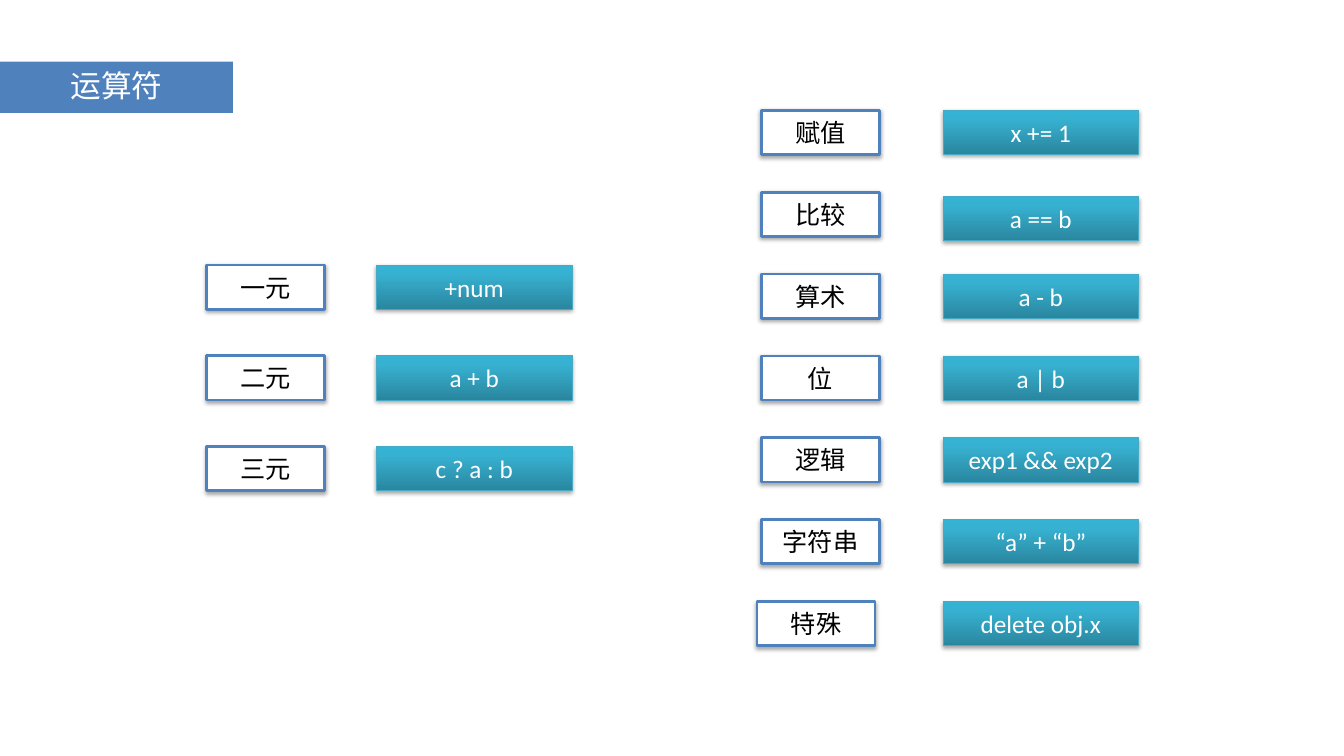
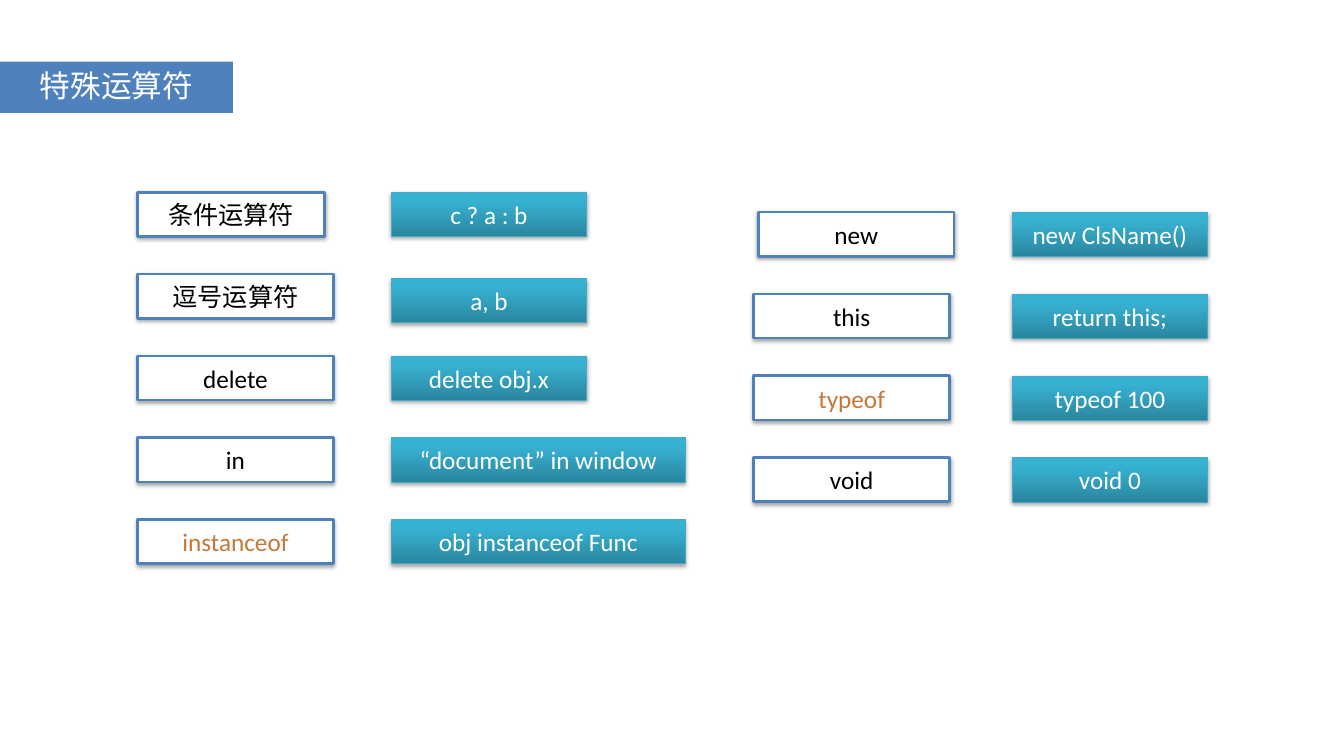
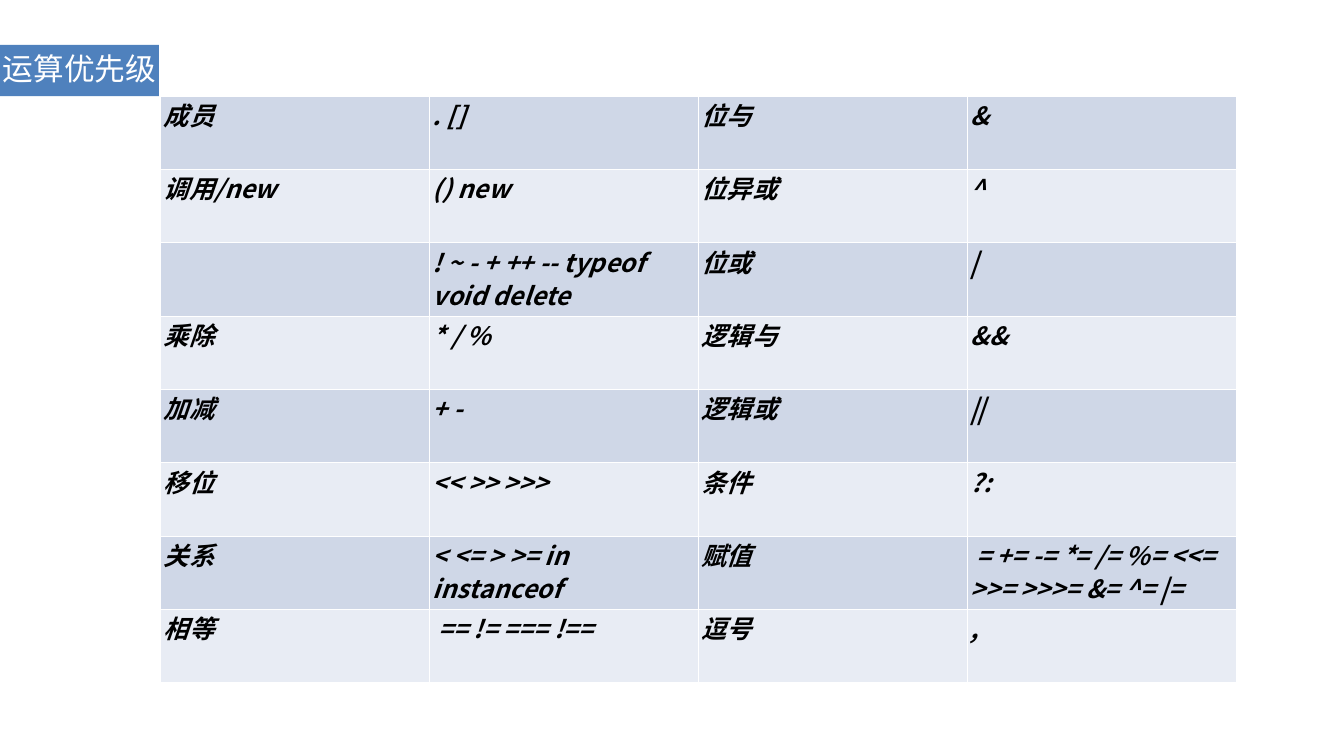
import copy
from dataclasses import dataclass
from typing import Optional

import pptx
import pptx.dml.color
import pptx.enum.shapes
import pptx.enum.text
import pptx.oxml
import pptx.oxml.ns
import pptx.util

BLUE = "4F81BD"
WHITE = "FFFFFF"
BLACK = "000000"
ORANGE = "C67838"
TEAL_LINE = "46AAC4"
TEAL_STOPS = [(0, "2A869F"), (0.8, "37B1D1"), (1, "34B3D5")]
ROW_FILLS = ["CFD7E7", "E8ECF4"]
BODY_FONT = "Calibri"
HEADING_FONT = "Noto Sans CJK SC"

BOX_HEIGHT = 63
PITCH = 117
WIDE_PITCH = 129.6
SHORT_WIDTH = 168.5
LONG_WIDTH = 279.5
WIDEST_WIDTH = 420.5
NUDGE = 6.5

Pt = pptx.util.Pt


@dataclass(frozen=True)
class Banner:
    text: str
    top: float = 88
    width: float = 332.6


@dataclass(frozen=True)
class Box:
    text: str
    color: Optional[str] = None
    shift_x: float = 0
    shift_y: float = 0
    width: Optional[float] = None


@dataclass(frozen=True)
class Column:
    left: float
    top: float
    width: float
    boxes: list[Box]
    pitch: float = PITCH
    is_example: bool = False


OPERATOR_COLUMNS = [
    Column(1088, 157.5, SHORT_WIDTH, [
        Box("赋值"), Box("比较"), Box("算术"), Box("位"), Box("逻辑"),
        Box("字符串"), Box("特殊", shift_x=-NUDGE),
    ]),
    Column(295.2, 378.7, SHORT_WIDTH,
           [Box("一元"), Box("二元"), Box("三元")], WIDE_PITCH),
    Column(537.8, 378.7, LONG_WIDTH,
           [Box("+num"), Box("a + b"), Box("c ? a : b")], WIDE_PITCH, True),
    Column(1347, 157.5, LONG_WIDTH, [
        Box("x += 1"), Box("a == b", shift_y=NUDGE), Box("a - b"),
        Box("a | b"), Box("exp1 && exp2"), Box("“a” + “b”"),
        Box("delete obj.x"),
    ], is_example=True),
]

SPECIAL_COLUMNS = [
    Column(196.6, 274.5, LONG_WIDTH, [
        Box("条件运算符", width=267), Box("逗号运算符"), Box("delete"),
        Box("in"), Box("instanceof", ORANGE),
    ]),
    Column(558.7, 274.5, LONG_WIDTH, [
        Box("c ? a : b"), Box("a, b", shift_y=NUDGE), Box("delete obj.x"),
        Box("“document” in window", width=WIDEST_WIDTH),
        Box("obj instanceof Func", width=WIDEST_WIDTH),
    ], is_example=True),
    Column(1077, 303, LONG_WIDTH, [
        Box("new", shift_x=NUDGE), Box("this"), Box("typeof", ORANGE),
        Box("void"),
    ]),
    Column(1445.8, 303, LONG_WIDTH, [
        Box("new ClsName()"), Box("return this;"), Box("typeof 100"),
        Box("void 0"),
    ], is_example=True),
]

PRECEDENCE_ROWS = [
    ("成员", ". []", "位与", "&"),
    ("调用/new", "() new", "位异或", "^"),
    ("", "! ~ - + ++ -- typeof void delete", "位或", "|"),
    ("乘除", "* / %", "逻辑与", "&&"),
    ("加减", "+ -", "逻辑或", "||"),
    ("移位", "<< >> >>>", "条件", "?:"),
    ("关系", "< <= > >= in instanceof", "赋值",
     " = += -= *= /= %= <<= >>= >>>= &= ^= |="),
    ("相等", " == != === !==", "逗号", ","),
]


def rgb(color: str) -> pptx.dml.color.RGBColor:
    return pptx.dml.color.RGBColor.from_string(color)


def drawing_element(xml: str):
    namespace = pptx.oxml.ns.nsdecls("a")
    return pptx.oxml.parse_xml(xml.replace(" ", f" {namespace} ", 1))


def write_text(frame, text: str, *, size: float = 36, font: str = BODY_FONT,
               color: str = BLACK, bold: bool = False, italic: bool = False,
               align=None, spacing: Optional[float] = None) -> None:
    paragraph = frame.paragraphs[0]
    paragraph.alignment = align
    paragraph.line_spacing = spacing
    run = paragraph.add_run()
    run.text = text
    run.font.size = Pt(size)
    run.font.name = font
    run.font.bold = bold
    run.font.italic = italic
    run.font.color.rgb = rgb(color)
    run.font._element.find(pptx.oxml.ns.qn("a:latin")).addnext(
        drawing_element(f'<a:ea typeface="{font}"/>'))


def add_rectangle(slide, left: float, top: float, width: float,
                  height: float, text: str, **text_format):
    shape = slide.shapes.add_shape(
        pptx.enum.shapes.MSO_SHAPE.RECTANGLE,
        Pt(left), Pt(top), Pt(width), Pt(height))
    shape.shadow.inherit = False
    frame = shape.text_frame
    frame.word_wrap = True
    frame.vertical_anchor = pptx.enum.text.MSO_ANCHOR.MIDDLE
    frame.margin_left = frame.margin_right = Pt(0)
    frame.margin_top = frame.margin_bottom = Pt(0)
    write_text(frame, text, align=pptx.enum.text.PP_ALIGN.CENTER,
               **text_format)
    return shape


def set_solid(shape, fill: str) -> None:
    shape.fill.solid()
    shape.fill.fore_color.rgb = rgb(fill)


def set_line(shape, color: str, width: float) -> None:
    shape.line.color.rgb = rgb(color)
    shape.line.width = Pt(width)


def set_teal_gradient(shape) -> None:
    shape.fill.gradient()
    shape.fill.gradient_angle = 90
    stop_list = next(shape._element.iter(pptx.oxml.ns.qn("a:gsLst")))
    stop_list.append(copy.deepcopy(stop_list[-1]))
    for stop, (position, color) in zip(shape.fill.gradient_stops, TEAL_STOPS):
        stop.position = position
        stop.color.rgb = rgb(color)


def add_shadow(shape) -> None:
    effects = shape._element.spPr.find(pptx.oxml.ns.qn("a:effectLst"))
    effects.append(drawing_element(
        f'<a:outerShdw blurRad="{Pt(6)}" dist="{Pt(3)}" dir="5400000" '
        f'rotWithShape="0"><a:srgbClr val="{BLACK}">'
        '<a:alpha val="35000"/></a:srgbClr></a:outerShdw>'))


def draw_banner(slide, banner: Banner) -> None:
    shape = add_rectangle(slide, 0, banner.top, banner.width, 73.4,
                          banner.text, size=43.8, font=HEADING_FONT,
                          color=WHITE, spacing=0.9)
    set_solid(shape, BLUE)
    shape.line.fill.background()


def draw_column(slide, column: Column) -> None:
    default_color = WHITE if column.is_example else BLACK
    for index, box in enumerate(column.boxes):
        shape = add_rectangle(
            slide, column.left + box.shift_x,
            column.top + index * column.pitch + box.shift_y,
            box.width or column.width, BOX_HEIGHT, box.text,
            color=box.color or default_color)
        if column.is_example:
            set_teal_gradient(shape)
            set_line(shape, TEAL_LINE, 1)
        else:
            set_solid(shape, WHITE)
            set_line(shape, BLUE, 4)
        add_shadow(shape)


def set_borders(cell) -> None:
    properties = cell._tc.get_or_add_tcPr()
    for index, side in enumerate("LRTB"):
        properties.insert(index, drawing_element(
            f'<a:ln{side} w="{Pt(1)}"><a:solidFill>'
            f'<a:srgbClr val="{WHITE}"/></a:solidFill></a:ln{side}>'))


def draw_precedence_table(slide) -> None:
    row_count, column_count = len(PRECEDENCE_ROWS), len(PRECEDENCE_ROWS[0])
    table = slide.shapes.add_table(
        row_count, column_count, Pt(229.2), Pt(137),
        Pt(1536.4), Pt(838)).table
    table.first_row = False
    table.horz_banding = False
    for row_index, texts in enumerate(PRECEDENCE_ROWS):
        for column_index, text in enumerate(texts):
            cell = table.cell(row_index, column_index)
            cell.margin_left = cell.margin_right = Pt(5)
            cell.margin_top = cell.margin_bottom = Pt(5)
            set_solid(cell, ROW_FILLS[row_index % 2])
            set_borders(cell)
            if text:
                write_text(cell.text_frame, text, font=HEADING_FONT,
                           bold=True, italic=True, spacing=0.9)


def main() -> None:
    presentation = pptx.Presentation()
    presentation.slide_width = Pt(1920)
    presentation.slide_height = Pt(1080)
    pages = [
        (Banner("运算符"), OPERATOR_COLUMNS),
        (Banner("特殊运算符"), SPECIAL_COLUMNS),
        (Banner("运算优先级", top=64, width=227), []),
    ]
    for banner, columns in pages:
        slide = presentation.slides.add_slide(presentation.slide_layouts[6])
        draw_banner(slide, banner)
        for column in columns:
            draw_column(slide, column)
    draw_precedence_table(slide)
    presentation.save("out.pptx")


if __name__ == "__main__":
    main()
